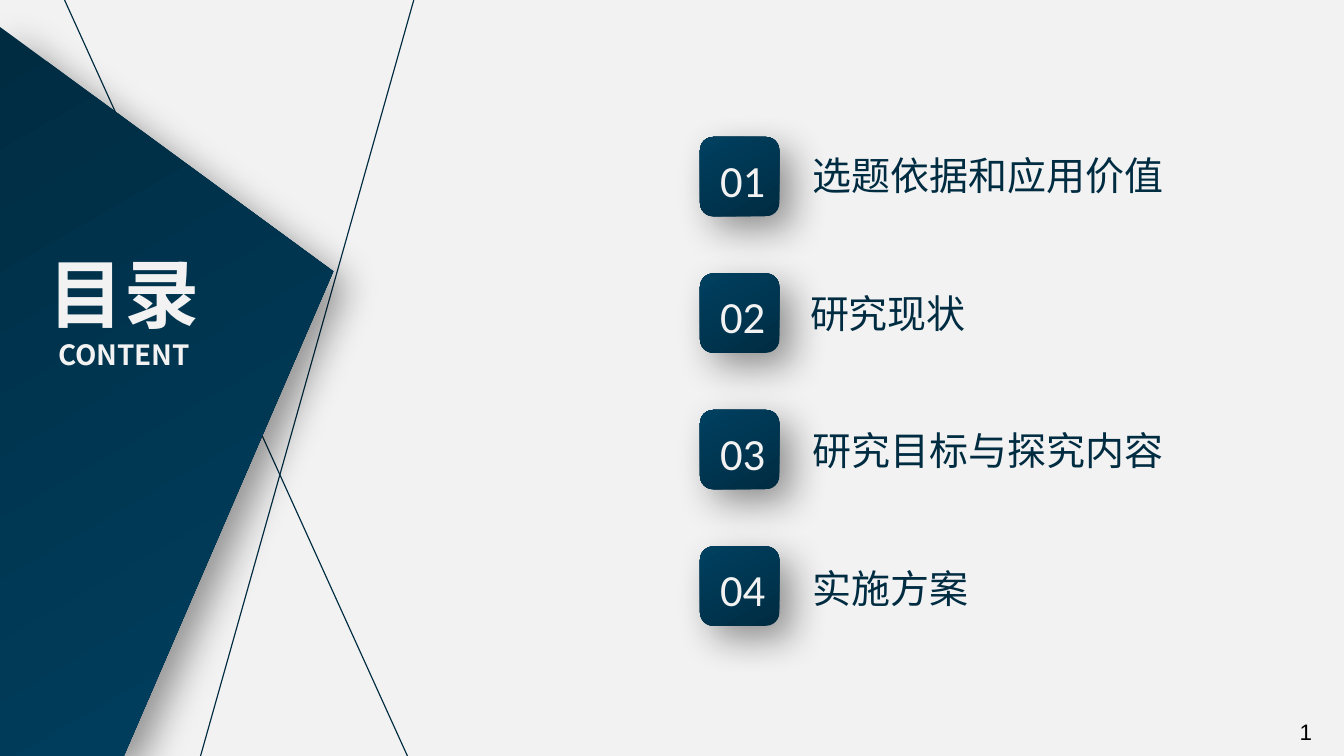
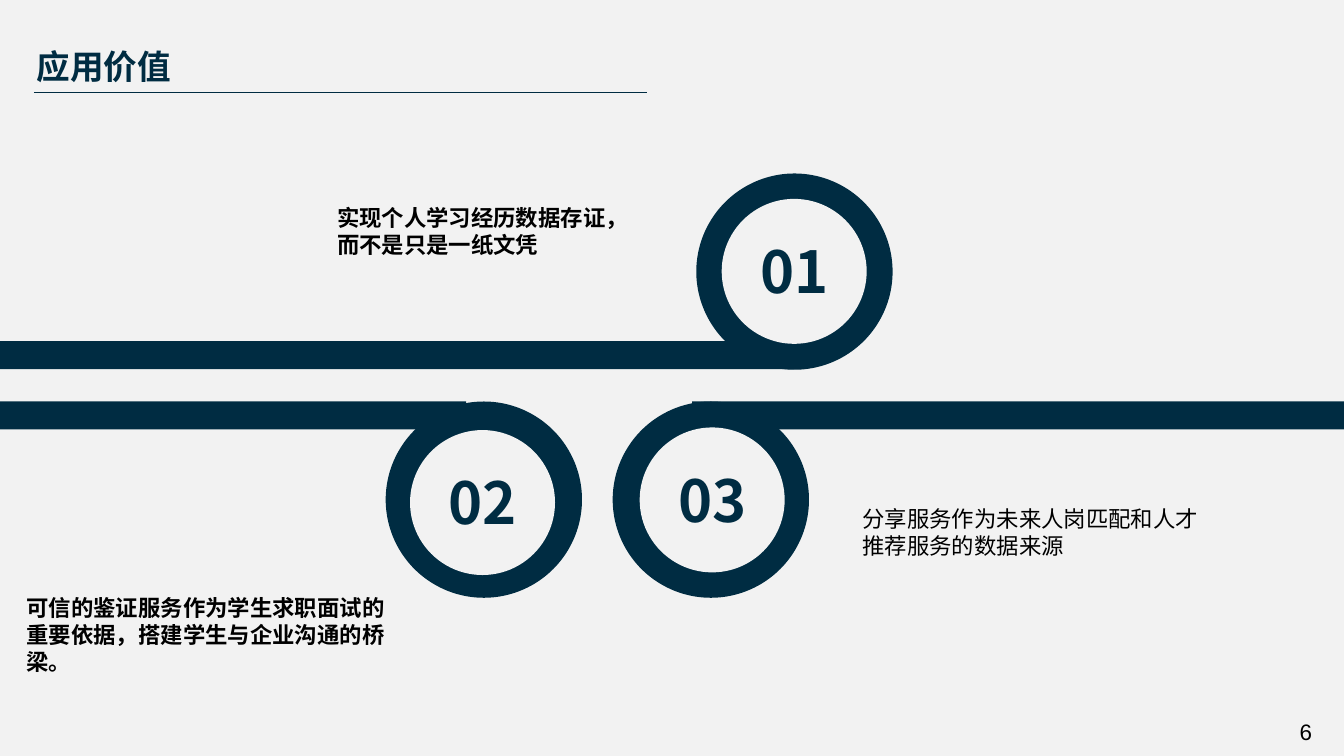
import pptx
import pptx.dml.color
import pptx.enum.shapes
import pptx.enum.text
import pptx.oxml
import pptx.oxml.ns
import pptx.util
from pptx.util import Cm

NAVY, BLUE, PALE, BLACK = "002C42", "004060", "F2F2F2", "000000"
HEAD_FONT, NUMBER_FONT, BODY_FONT = "Noto Sans CJK SC", "Calibri", "Arial"
SHAPE = pptx.enum.shapes.MSO_SHAPE
ALIGN = pptx.enum.text.PP_ALIGN
STRAIGHT = pptx.enum.shapes.MSO_CONNECTOR.STRAIGHT
NAMESPACE = pptx.oxml.ns.nsdecls("a")
SHADOW = (f'<a:effectLst {NAMESPACE}><a:outerShdw blurRad="254000" dist="127000" '
          'dir="2700000" algn="tl" rotWithShape="0"><a:srgbClr val="000000">'
          '<a:alpha val="40000"/></a:srgbClr></a:outerShdw></a:effectLst>')
BODY_INSETS = (0.2, 0.1, 0.2, 0.1)


def rgb(value):
    return pptx.dml.color.RGBColor.from_string(value)


def write(shape, lines, font, color, bold=False, align=ALIGN.LEFT, wrap=True,
          insets=(0.25, 0.13, 0.25, 0.13), grow=True):
    """Fill a shape with (text, size) lines that share one style."""
    frame = shape.text_frame
    frame.word_wrap = wrap
    if grow:
        frame.auto_size = pptx.enum.text.MSO_AUTO_SIZE.SHAPE_TO_FIT_TEXT
    frame.margin_left, frame.margin_top, frame.margin_right, frame.margin_bottom = map(Cm, insets)
    for index, (text, size) in enumerate(lines):
        para = frame.add_paragraph() if index else frame.paragraphs[0]
        para.text = text
        para.alignment = align
        para.font.size = pptx.util.Pt(size)
        para.font.bold = bold
        para.font.name = font
        para.font.color.rgb = rgb(color)
        style = para._p.pPr.find(pptx.oxml.ns.qn("a:defRPr"))
        style.append(pptx.oxml.parse_xml(f'<a:ea {NAMESPACE} typeface="{font}"/>'))


deck = pptx.Presentation()
deck.slide_width, deck.slide_height = Cm(25.4), Cm(14.29)

# Shared background, thin lines and page numbers
pages = []
for number, lines in (
    ("1", [(7.82, 0, 3.79, 14.29, 0.63), (7.7, 14.29, 1.22, 0, 0.63)]),
    ("6", [(0.64, 1.75, 12.22, 1.75, 0.5)]),
):
    page = deck.slides.add_slide(deck.slide_layouts[6])
    page.background.fill.solid()
    page.background.fill.fore_color.rgb = rgb(PALE)
    for x1, y1, x2, y2, width in lines:
        line = page.shapes.add_connector(STRAIGHT, Cm(x1), Cm(y1), Cm(x2), Cm(y2))
        line.line.color.rgb = rgb(NAVY)
        line.line.width = pptx.util.Pt(width)
        line._element.spPr.append(pptx.oxml.parse_xml(f"<a:effectLst {NAMESPACE}/>"))
    box = page.shapes.add_textbox(Cm(24.31), Cm(13.44), Cm(0.74), Cm(0.76))
    write(box, [(number, 12)], BODY_FONT, BLACK, wrap=False)
    pages.append(page)
contents, value = pages

# Contents: the large panel and the four tiles
builder = contents.shapes.build_freeform(Cm(2.34), Cm(14.29))
builder.add_line_segments([(Cm(0), Cm(14.29)), (Cm(0), Cm(0.51)), (Cm(6.3), Cm(5.13))])
panel = builder.convert_to_shape()
tiles = [contents.shapes.add_shape(SHAPE.ROUNDED_RECTANGLE, Cm(13.23), Cm(2.59 + 2.58 * row),
                                   Cm(1.5), Cm(1.5)) for row in range(4)]
for shape, angle in [(panel, 300)] + [(tile, 120) for tile in tiles]:
    shape.fill.gradient()
    shape.fill.gradient_angle = angle
    for stop, color, position in zip(shape.fill.gradient_stops, (NAVY, BLUE), (0, 1)):
        stop.color.rgb = rgb(color)
        stop.position = position
    shape.line.fill.background()
    shape._element.spPr.append(pptx.oxml.parse_xml(SHADOW))

# Contents: heading
box = contents.shapes.add_textbox(Cm(0.53), Cm(4.55), Cm(3.63), Cm(2.62))
write(box, [("目录", 40.2), ("CONTENT", 14.9)], HEAD_FONT, PALE, bold=True, align=ALIGN.CENTER)

# Contents: tile numbers and chapter names
chapters = [("选题依据和应用价值", 15.11, 7.39), ("研究现状", 15.06, 5.99),
            ("研究目标与探究内容", 15.11, 8.2), ("实施方案", 15.11, 7.39)]
for row, (chapter, left, width) in enumerate(chapters):
    box = contents.shapes.add_textbox(Cm(13.36), Cm(2.76 + 2.58 * row), Cm(1.37), Cm(1.27))
    write(box, [(f"{row + 1:02}", 23.9)], NUMBER_FONT, PALE, wrap=False)
    box = contents.shapes.add_textbox(Cm(left), Cm(2.74 + 2.6 * row), Cm(width), Cm(1.14))
    write(box, [(chapter, 20.9)], HEAD_FONT, NAVY)

# Application value: title
box = value.shapes.add_textbox(Cm(0.69), Cm(0.74), Cm(2.82), Cm(1.02))
write(box, [("应用价值", 18)], HEAD_FONT, NAVY, bold=True, wrap=False,
      insets=(0, 0.13, 0.25, 0.13))

# Application value: each band ends in a numbered ring
loops = [
    ("02", (0, 7.59, 8.81), (7.29, 7.59), (7.75, 8.13)),
    ("01", (0, 6.45, 15.01), (13.16, 3.28), (13.64, 3.76)),
    ("03", (13.08, 7.59, 12.32), (11.58, 7.59), (12.09, 8.08)),
]
for number, (left, top, width), ring, disc in loops:
    for kind, x, y, w, h, color in (
        (SHAPE.RECTANGLE, left, top, width, 0.53, NAVY),
        (SHAPE.OVAL, *ring, 3.71, 3.71, NAVY),
        (SHAPE.OVAL, *disc, 2.74, 2.74, PALE),
    ):
        shape = value.shapes.add_shape(kind, Cm(x), Cm(y), Cm(w), Cm(h))
        shape.shadow.inherit = False
        shape.fill.solid()
        shape.fill.fore_color.rgb = rgb(color)
        shape.line.fill.background()
    # The disc comes last and carries the number
    shape.text_frame.vertical_anchor = pptx.enum.text.MSO_ANCHOR.MIDDLE
    write(shape, [(number, 31)], HEAD_FONT, NAVY, bold=True, align=ALIGN.CENTER,
          insets=(0.25, 0.1, 0.25, 0.13), grow=False)

# Application value: descriptions
descriptions = [
    ("实现个人学习经历数据存证，而不是只是一纸文凭", 6.17, 3.76, 6.32, 1.73, True),
    ("可信的鉴证服务作为学生求职面试的重要依据，搭建学生与企业沟通的桥梁。",
     0.3, 11.13, 7.57, 1.73, True),
    ("分享服务作为未来人岗匹配和人才推荐服务的数据来源", 16.1, 9.45, 6.81, 1.22, False),
]
for text, left, top, width, height, bold in descriptions:
    box = value.shapes.add_textbox(Cm(left), Cm(top), Cm(width), Cm(height))
    write(box, [(text, 12)], BODY_FONT, BLACK, bold=bold, insets=BODY_INSETS)

deck.save("out.pptx")
